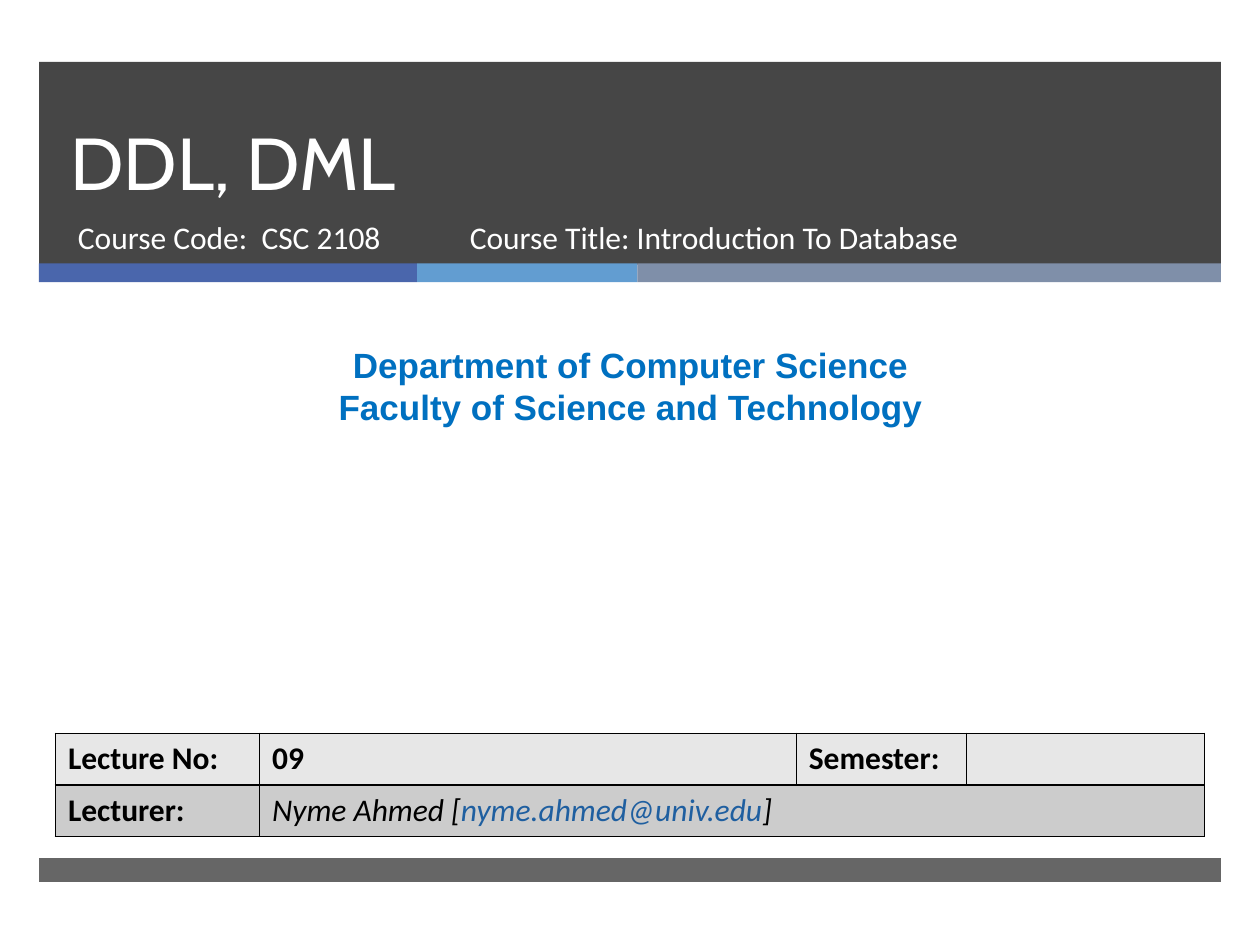
from lxml import etree
from pptx import Presentation
from pptx.dml.color import RGBColor
from pptx.enum import shapes, text
from pptx.oxml.ns import qn
from pptx.util import Inches, Pt

WHITE, BLACK, CHARCOAL = "FFFFFF", "000000", "262626"
BAND_WIDTH = 9.38


def color(hex_code):
    return RGBColor.from_string(hex_code)


def style_run(run, size, font, hex_code, bold=False, italic=False):
    run.font.size = Pt(size)
    run.font.name = font
    run.font.color.rgb = color(hex_code)
    run.font.bold = bold
    run.font.italic = italic


def add_band(slide, left, top, width, height, hex_code, opacity=100):
    """Add a borderless rectangle; opacity is a percentage."""
    band = slide.shapes.add_shape(
        shapes.MSO_SHAPE.RECTANGLE,
        Inches(left), Inches(top), Inches(width), Inches(height))
    band.shadow.inherit = False
    band.line.fill.background()
    band.fill.solid()
    band.fill.fore_color.rgb = color(hex_code)
    if opacity < 100:
        fill_color = band.fill._xPr.find(qn("a:solidFill"))[0]
        etree.SubElement(fill_color, qn("a:alpha"), val=str(opacity * 1000))


def add_text(slide, left, top, width, height, lines, size, font, hex_code,
             bold=False, align=text.PP_ALIGN.LEFT):
    box = slide.shapes.add_textbox(
        Inches(left), Inches(top), Inches(width), Inches(height))
    frame = box.text_frame
    frame.word_wrap = True
    frame.text = "\n".join(lines)
    for paragraph in frame.paragraphs:
        paragraph.alignment = align
        for run in paragraph.runs:
            style_run(run, size, font, hex_code, bold)
    return frame


def add_header(slide, left, top):
    add_band(slide, left, top, BAND_WIDTH, 1.61, CHARCOAL, opacity=85)
    stripe_left = left
    for width, hex_code in ((3, "4A66AC"), (1.75, "629DD1"), (4.63, "7F8FA9")):
        add_band(slide, stripe_left, top + 1.6, width, 0.15, hex_code)
        stripe_left += width

    title = add_text(slide, left + 0.15, top, 8.54, 1.19,
                     ["DDL, DML"], 42, "Cabin", WHITE)
    title.vertical_anchor = text.MSO_ANCHOR.BOTTOM
    title.paragraphs[0].line_spacing = Pt(46)

    for offset, width, label in (
            (0.21, 3.05, "Course Code:  CSC 2108"),
            (3.32, 4.55, "Course Title: Introduction To Database")):
        add_text(slide, left + offset, top + 1.19, width, 0.53,
                 [label], 18, "Calibri", WHITE)


def add_department(slide, left, top):
    add_text(slide, left, top, 9.87, 0.77,
             ["Department of Computer Science",
              "Faculty of Science and Technology"],
             20, "Arial", "0070C0", bold=True, align=text.PP_ALIGN.CENTER)


def format_cell(cell, hex_code):
    """Fill the cell and draw a thin black border on its four sides."""
    properties = cell._tc.get_or_add_tcPr()
    for side in ("a:lnL", "a:lnR", "a:lnT", "a:lnB"):
        border = etree.SubElement(properties, qn(side), w=str(Pt(1)))
        border_fill = etree.SubElement(border, qn("a:solidFill"))
        etree.SubElement(border_fill, qn("a:srgbClr"), val=BLACK)
    cell.fill.solid()
    cell.fill.fore_color.rgb = color(hex_code)


def add_lecture_table(slide, left, top):
    columns = (1.62, 4.26, 1.35, 1.89)
    row_height = 0.41
    table = slide.shapes.add_table(
        2, len(columns), Inches(left), Inches(top),
        Inches(sum(columns)), Inches(2 * row_height)).table
    for column, width in zip(table.columns, columns):
        column.width = Inches(width)
    for row, hex_code in zip(table.rows, ("E7E7E7", "CCCCCC")):
        row.height = Inches(row_height)
        for cell in row.cells:
            format_cell(cell, hex_code)

    labels = {(0, 0): "Lecture No:", (0, 1): "09",
              (0, 2): "Semester:", (1, 0): "Lecturer:"}
    for position, label in labels.items():
        paragraph = table.cell(*position).text_frame.paragraphs[0]
        paragraph.text = label
        style_run(paragraph.runs[0], 18, "Calibri", BLACK, bold=True)

    lecturer = table.cell(1, 1)
    lecturer.merge(table.cell(1, 3))
    paragraph = lecturer.text_frame.paragraphs[0]
    for part, hex_code in (("Nyme Ahmed [", BLACK),
                           ("nyme.ahmed@univ.edu", "1F5FA0"),
                           ("]", BLACK)):
        run = paragraph.add_run()
        run.text = part
        style_run(run, 18, "Calibri", hex_code, italic=True)


def main():
    presentation = Presentation()
    presentation.slide_width = Inches(10)
    presentation.slide_height = Inches(7.5)
    slide = presentation.slides.add_slide(presentation.slide_layouts[6])

    add_header(slide, 0.31, 0.49)
    add_band(slide, 0.31, 6.81, BAND_WIDTH, 0.19, CHARCOAL, opacity=70)
    add_department(slide, 0.07, 2.68)
    add_lecture_table(slide, 0.44, 5.82)
    presentation.save("out.pptx")


if __name__ == "__main__":
    main()
